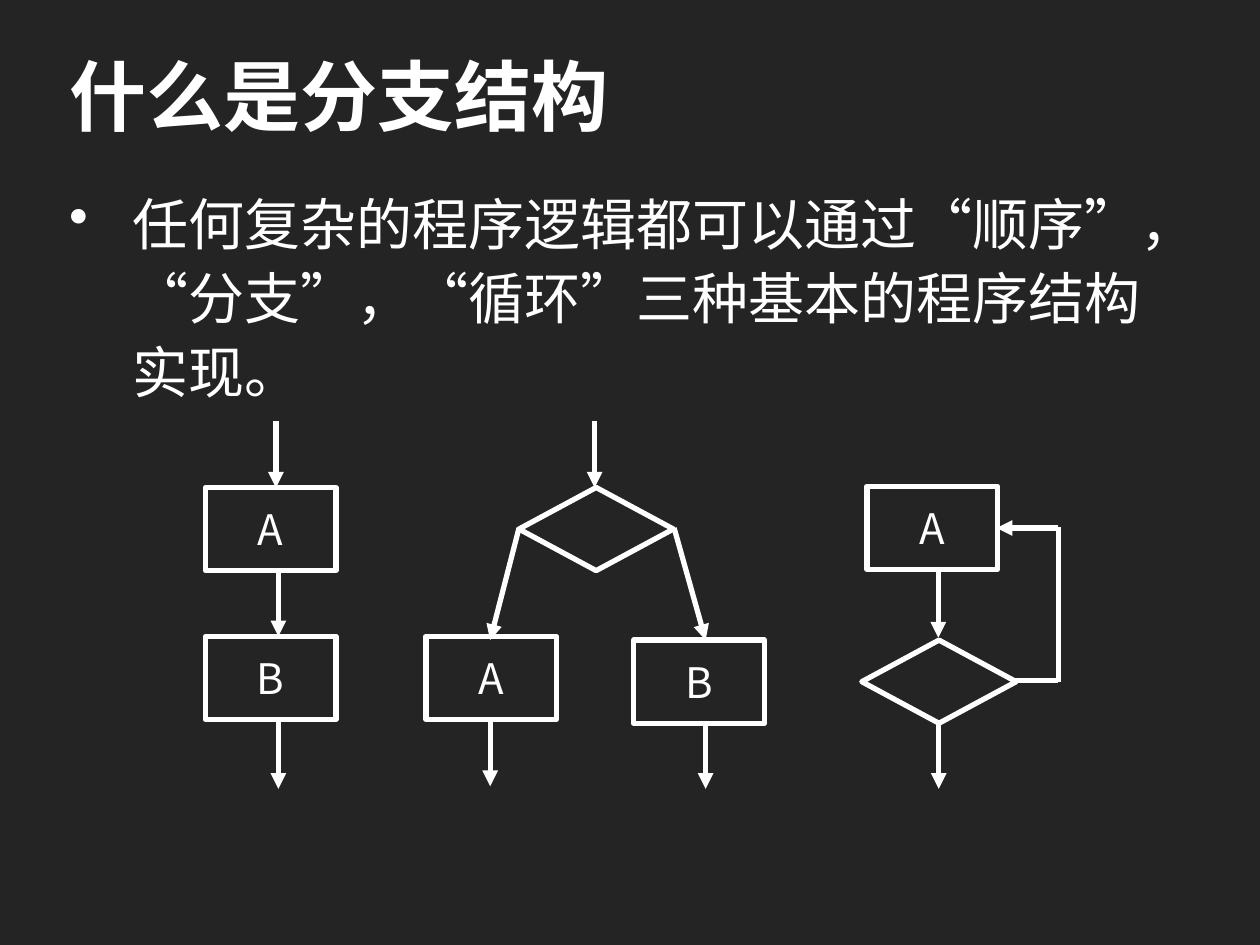
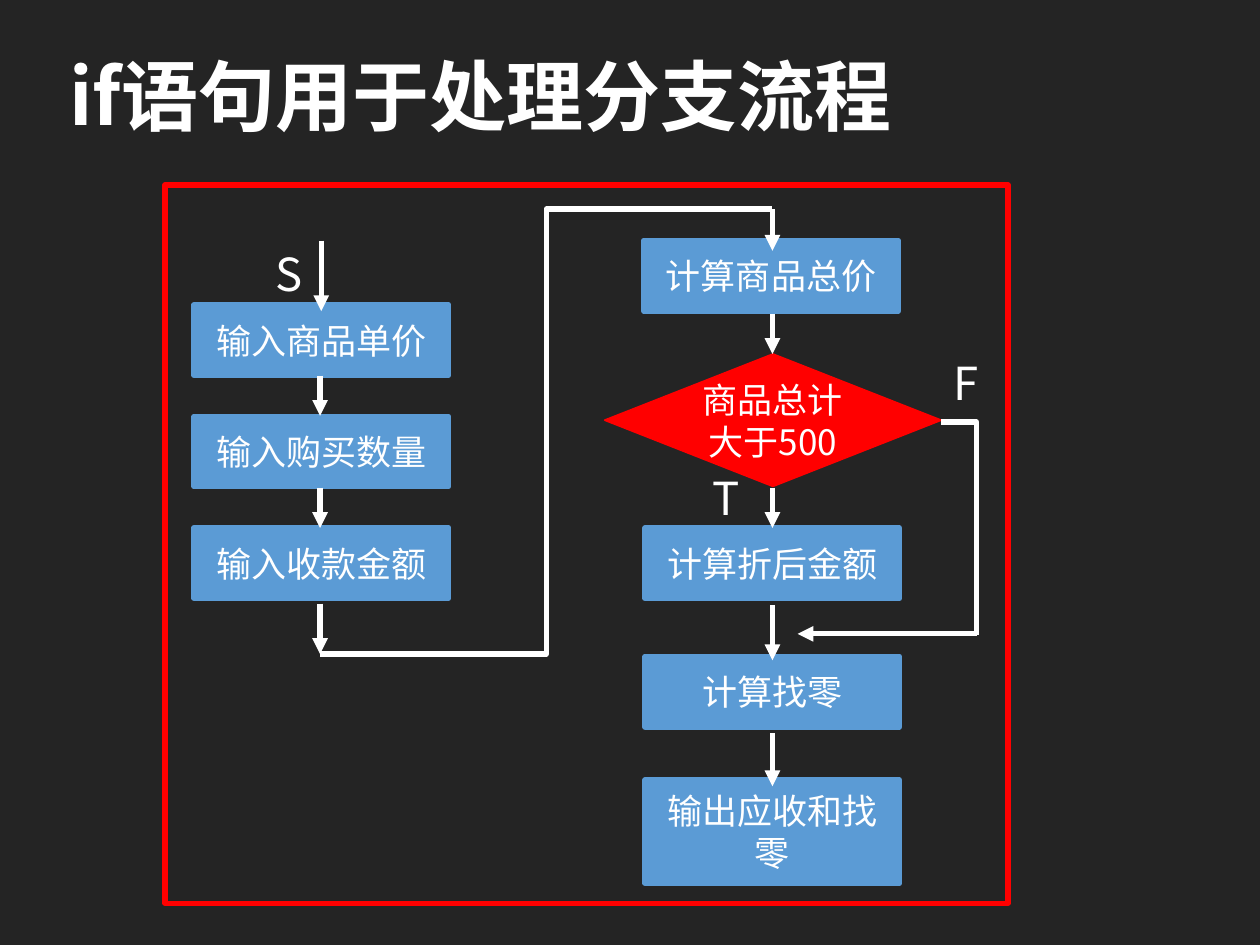
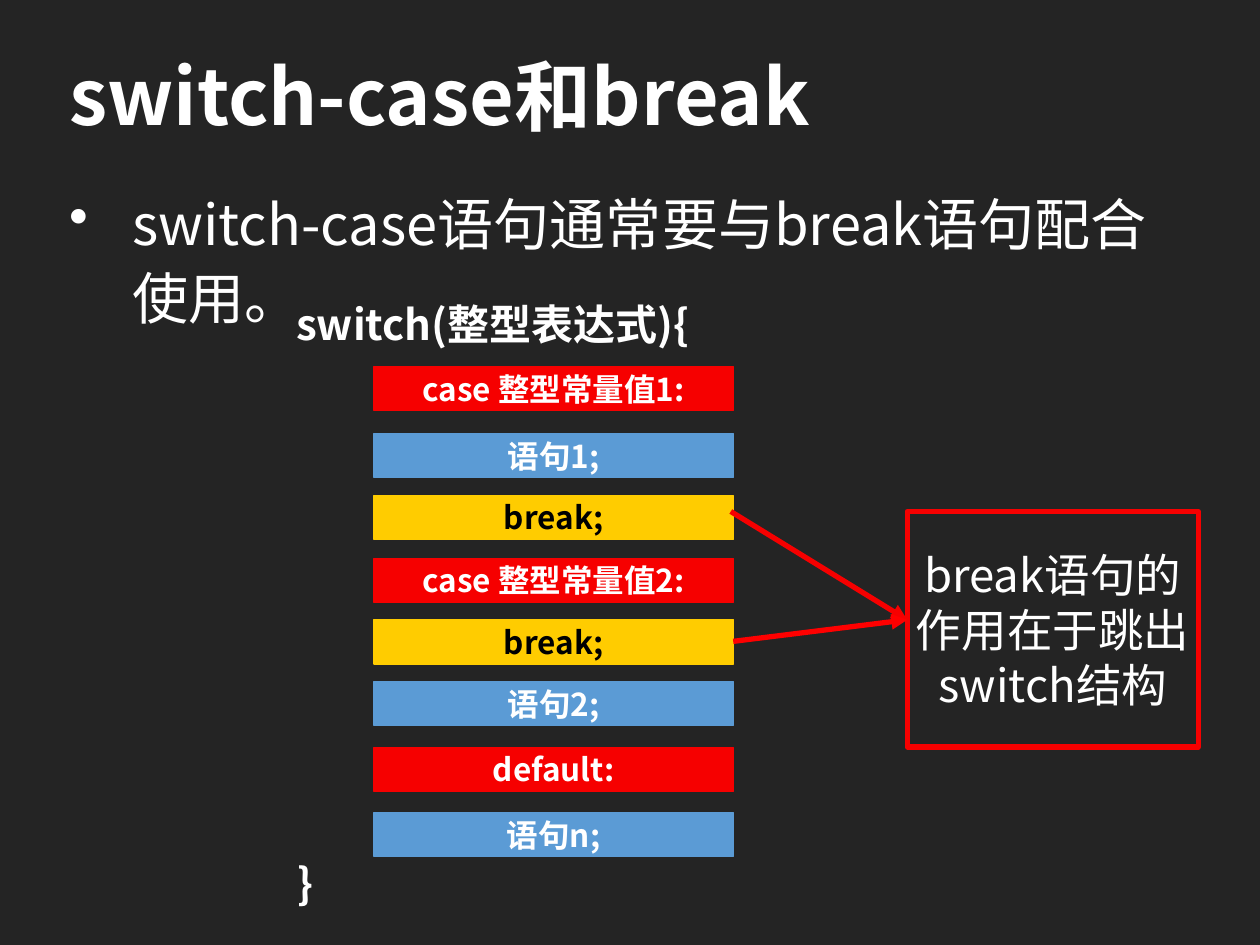
from pptx import Presentation
from pptx.dml.color import RGBColor
from pptx.enum.shapes import MSO_CONNECTOR as CN, MSO_SHAPE as SH
from pptx.enum.text import MSO_ANCHOR as ANCHOR, MSO_AUTO_SIZE as AUTO, PP_ALIGN as ALIGN
from pptx.oxml.ns import qn
from pptx.util import Pt
from lxml.etree import SubElement

FONT = "Noto Sans CJK SC"
BACK, WHITE, BLACK = "242424", "FFFFFF", "000000"
BLUE, RED, CRIMSON, YELLOW = "5B9BD5", "FF0000", "F60000", "FFCC00"
WIDE = {"margin_left": Pt(7.92), "margin_right": Pt(7.92)}
SNUG = {**WIDE, "word_wrap": False}


def rgb(value):
    return RGBColor.from_string(value)


def assign(obj, values):
    for name, value in values.items():
        setattr(obj, name, value)


def write(sp, text, size, color=WHITE, bold=False, align=ALIGN.LEFT, **frame):
    tf = sp.text_frame
    assign(tf, {"word_wrap": True, **frame})
    for i, line in enumerate(text.split("\n")):
        p = tf.add_paragraph() if i else tf.paragraphs[0]
        p.alignment = align
        r = p.add_run()
        r.text = line
        assign(r.font, {"name": FONT, "size": Pt(size), "bold": bold})
        r.font.color.rgb = rgb(color)
        SubElement(r.font._element, qn("a:ea"), typeface=FONT)
    return tf


def textbox(s, box, text, size, **fmt):
    return write(s.shapes.add_textbox(*map(Pt, box)), text, size, **fmt)


def label(s, box, text, size=26, **fmt):
    textbox(s, box, text, size, auto_size=AUTO.SHAPE_TO_FIT_TEXT, **fmt)


def bullet(s, text):
    p = textbox(s, (32.4, 100.8, 656, 399.6), text, 32).paragraphs[0]
    assign(p, {"line_spacing": 1.1, "space_before": Pt(5)})
    pPr = p._p.get_or_add_pPr()
    pPr.set("marL", str(Pt(36)))
    pPr.set("indent", str(Pt(-36)))
    SubElement(pPr, qn("a:buChar"), char="•")


def shape(s, kind, box, fill=None, line=WHITE, width=3, text="", size=24, **fmt):
    sp = s.shapes.add_shape(kind, *map(Pt, box))
    sp.shadow.inherit = False
    if fill:
        sp.fill.solid()
        sp.fill.fore_color.rgb = rgb(fill)
    else:
        sp.fill.background()
    sp.line.color.rgb = rgb(line)
    sp.line.width = Pt(width)
    if text:
        write(sp, text, size, align=ALIGN.CENTER, vertical_anchor=ANCHOR.MIDDLE, **fmt)


def connect(s, x1, y1, x2, y2, color=WHITE, head=True, preset="line"):
    kind = CN.STRAIGHT if preset == "line" else CN.ELBOW
    sp = s.shapes.add_connector(kind, *map(Pt, (x1, y1, x2, y2)))
    spPr = sp._element.spPr
    spPr.find(qn("a:prstGeom")).set("prst", preset)
    sp.line.color.rgb = rgb(color)
    sp.line.width = Pt(3)
    if head:
        SubElement(spPr.find(qn("a:ln")), qn("a:tailEnd"), type="triangle")
    SubElement(spPr, qn("a:effectLst"))


def down(s, x, top, bottom):
    connect(s, x, top, x, bottom)


def new_slide(prs, title):
    s = prs.slides.add_slide(prs.slide_layouts[6])
    textbox(s, (32.4, 16.6, 654.5, 74.9), title, 44, bold=True, vertical_anchor=ANCHOR.MIDDLE)
    return s


def structures(prs):
    s = new_slide(prs, "什么是分支结构")
    bullet(s, "任何复杂的程序逻辑都可以通过“顺序”，“分支”，“循环”三种基本的程序结构实现。")
    for text, x, y in (("A", 117.4, 278.6), ("B", 117.4, 363.6), ("A", 243.4, 363.6),
                       ("B", 362.2, 365.8), ("A", 495.4, 277.9)):
        shape(s, SH.RECTANGLE, (x, y, 74.6, 47.5), text=text, **SNUG)
    for x, y in ((296.6, 278.6), (492.5, 365.8)):
        shape(s, SH.FLOWCHART_DECISION, (x, y, 88.2, 47.5))
    for x, y in ((157.7, 240.5), (159.1, 325.4), (159.1, 412.6), (339.8, 240.5),
                 (280.1, 411.1), (403.2, 412.6), (536.2, 326.2), (536.4, 412.6)):
        down(s, x, y, y + 38.2)
    connect(s, 296.6, 301.7, 280.1, 365.8)
    connect(s, 385.2, 301.7, 403.2, 365.8)
    connect(s, 604.8, 301.7, 569.5, 301.7)
    connect(s, 604.8, 301, 604.8, 389.5, head=False)
    connect(s, 580.3, 388.8, 604.8, 388.8, head=False)


def if_flow(prs):
    s = new_slide(prs, "if语句用于处理分支流程")
    inputs = ("输入商品单价", "输入购买数量", "输入收款金额")
    steps = [(text, 110.9, 174.2 + 63.7 * i, 40.3) for i, text in enumerate(inputs)]
    steps += [("计算商品总价", 367.9, 137.5, 40.3), ("计算折后金额", 368.6, 301.7, 40.3),
              ("计算找零", 368.6, 375.1, 40.3), ("输出应收和找零", 368.6, 445.7, 59)]
    for text, x, y, h in steps:
        shape(s, SH.RECTANGLE, (x, y, 145.4, h), BLUE, BLUE, text=text, size=20)
    shape(s, SH.FLOWCHART_DECISION, (345.6, 202.3, 192.2, 75.6), RED, RED, 1,
          text="商品总计大于500", size=20)
    for x, top, bottom in ((183.6, 137.5, 177.8), (182.9, 214.6, 237.6), (182.9, 278.6, 301.7),
                           (182.9, 344.9, 373.7), (441.4, 119.5, 143.3), (441.4, 179.3, 202.3),
                           (441.4, 278.6, 301.7), (441.4, 345.6, 377.3), (441.4, 419, 449.3)):
        down(s, x, top, bottom)
    connect(s, 558, 362.2, 455.8, 362.2)
    connect(s, 537.8, 241.2, 558, 362.9, head=False, preset="bentConnector2")
    connect(s, 182.9, 373.7, 441.4, 119.5, head=False, preset="bentConnector3")
    for text, x, y in (("F", 537.8, 199.4), ("T", 400.3, 265), ("S", 150.5, 136.8)):
        label(s, (x, y, 30.2, 40.3), text)
    shape(s, SH.RECTANGLE, (94.3, 105.8, 481.7, 410.4), line=RED)


def switch_break(prs):
    s = new_slide(prs, "switch-case和break")
    bullet(s, "switch-case语句通常要与break语句配合使用。")
    label(s, (161.3, 167, 257.8, 37.4), "switch(整型表达式){", 24, bold=True, **WIDE)
    label(s, (162, 486.7, 31.7, 37.4), "}", 24, bold=True, **WIDE)
    for text, y, fill in (("case 整型常量值1:", 209.5, CRIMSON), ("语句1;", 247.7, BLUE),
                          ("break;", 283, YELLOW), ("case 整型常量值2:", 319, CRIMSON),
                          ("break;", 354.2, YELLOW), ("语句2;", 389.5, BLUE),
                          ("default:", 427, CRIMSON), ("语句n;", 464.4, BLUE)):
        shape(s, SH.FLOWCHART_PROCESS, (213.8, y, 205.2, 25.2), fill, fill, 0.75, text=text,
              size=18, bold=True, color=BLACK if fill == YELLOW else WHITE, **SNUG)
    shape(s, SH.RECTANGLE, (518.4, 292.3, 166.3, 134.6), line=CRIMSON,
          text="break语句的\n作用在于跳出\nswitch结构", size=26, **SNUG)
    connect(s, 417.6, 292.3, 518.4, 354.2, CRIMSON)
    connect(s, 419, 366.5, 518.4, 354.2, RED)


def main():
    prs = Presentation()
    assign(prs, {"slide_width": Pt(720), "slide_height": Pt(540)})
    fill = prs.slide_master.background.fill
    fill.solid()
    fill.fore_color.rgb = rgb(BACK)
    for build in (structures, if_flow, switch_break):
        build(prs)
    prs.save("out.pptx")


main()
